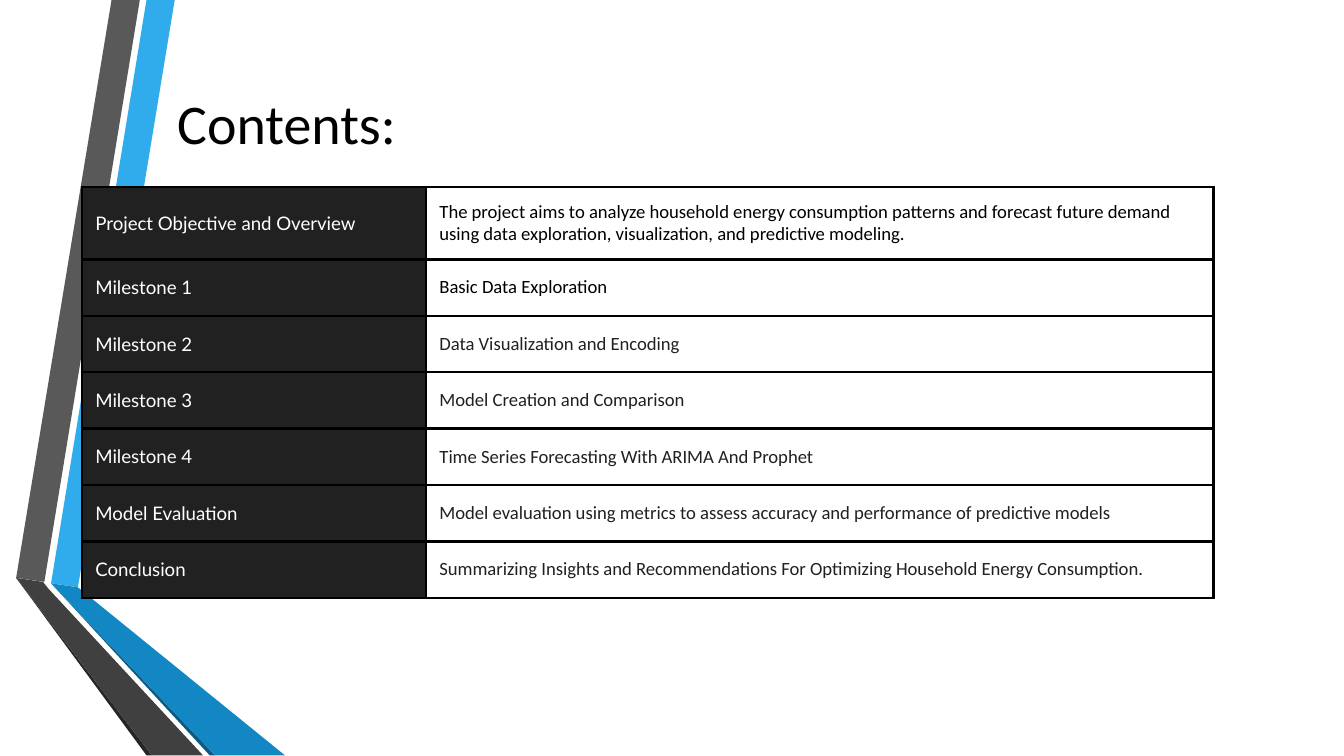
"""Build a contents slide with a two-column table beside folded ribbons."""
from lxml.etree import SubElement
from pptx import Presentation
from pptx.dml.color import RGBColor
from pptx.enum.text import MSO_ANCHOR
from pptx.oxml.ns import qn
from pptx.util import Inches, Pt


def color(hex_string):
    return RGBColor.from_string(hex_string)


def add_text(text_frame, text, font_name, size, hex_string):
    text_frame.word_wrap = True
    run = text_frame.paragraphs[0].add_run()
    run.text = text
    run.font.name = font_name
    run.font.size = Pt(size)
    run.font.color.rgb = color(hex_string)


presentation = Presentation()
presentation.slide_width = Inches(10)
presentation.slide_height = Inches(5.625)
slide = presentation.slides.add_slide(presentation.slide_layouts[6])
cell_size = presentation.slide_width // 1000

ribbons = [
    ("30ACEC", [(38, 434), (58, 437), (130, 0), (109, 0)]),
    ("595959", [(104, 0), (83, 0), (12, 430), (33, 433)]),
    ("262626", [(12, 430), (109, 562), (113, 562)]),
    ("0C5A82", [(38, 434), (156, 562), (160, 562)]),
    ("1287C3", [(38, 434), (160, 562), (212, 562), (58, 437)]),
    ("404040", [(151, 562), (36, 438), (32, 433), (12, 430), (113, 562)]),
]
for fill, points in ribbons:
    builder = slide.shapes.build_freeform(*points[0], scale=cell_size)
    builder.add_line_segments(points[1:], close=True)
    shape = builder.convert_to_shape()
    shape.shadow.inherit = False
    shape.fill.solid()
    shape.fill.fore_color.rgb = color(fill)
    shape.line.fill.background()

title = slide.shapes.add_textbox(*[cell_size * length for length in (122, 56, 822, 144)])
title.text_frame.margin_left = title.text_frame.margin_right = cell_size * 10
title.text_frame.margin_top = title.text_frame.margin_bottom = cell_size * 10
add_text(title.text_frame, "Contents:", "Calibri", 30, "000000")

contents = [
    ("Project Objective and Overview",
     "The project aims to analyze household energy consumption patterns and forecast future demand "
     "using data exploration, visualization, and predictive modeling."),
    ("Milestone 1", "Basic Data Exploration"),
    ("Milestone 2", "Data Visualization and Encoding"),
    ("Milestone 3", "Model Creation and Comparison"),
    ("Milestone 4", "Time Series Forecasting With ARIMA And Prophet"),
    ("Model Evaluation",
     "Model evaluation using metrics to assess accuracy and performance of predictive models"),
    ("Conclusion",
     "Summarizing Insights and Recommendations For Optimizing Household Energy Consumption."),
]
column_widths = [256, 586]
row_heights = [54] + [42] * (len(contents) - 1)
table = slide.shapes.add_table(
    len(contents), 2, cell_size * 61, cell_size * 139,
    cell_size * sum(column_widths), cell_size * sum(row_heights)).table
for column, width in zip(table.columns, column_widths):
    column.width = cell_size * width

for row_index, (row, texts) in enumerate(zip(table.rows, contents)):
    row.height = cell_size * row_heights[row_index]
    detail_color = "000000" if row_index < 2 else "212121"
    styles = [("Lato", "FFFFFF"), ("Calibri", detail_color)]
    for column_index, (text, (font_name, text_color)) in enumerate(zip(texts, styles)):
        cell = table.cell(row_index, column_index)
        cell.vertical_anchor = MSO_ANCHOR.MIDDLE
        cell.margin_left = cell.margin_right = cell_size * 10
        cell.margin_top = cell.margin_bottom = cell_size * 10
        add_text(cell.text_frame, text, font_name, 10, text_color)
        properties = cell._tc.get_or_add_tcPr()
        for side in ("a:lnL", "a:lnR", "a:lnT", "a:lnB"):
            border = SubElement(properties, qn(side), w=str(Pt(1.5)))
            SubElement(SubElement(border, qn("a:solidFill")), qn("a:srgbClr"), val="000000")
        if column_index == 0:
            cell.fill.solid()
            cell.fill.fore_color.rgb = color("212121")
        else:
            cell.fill.background()

presentation.save("out.pptx")
